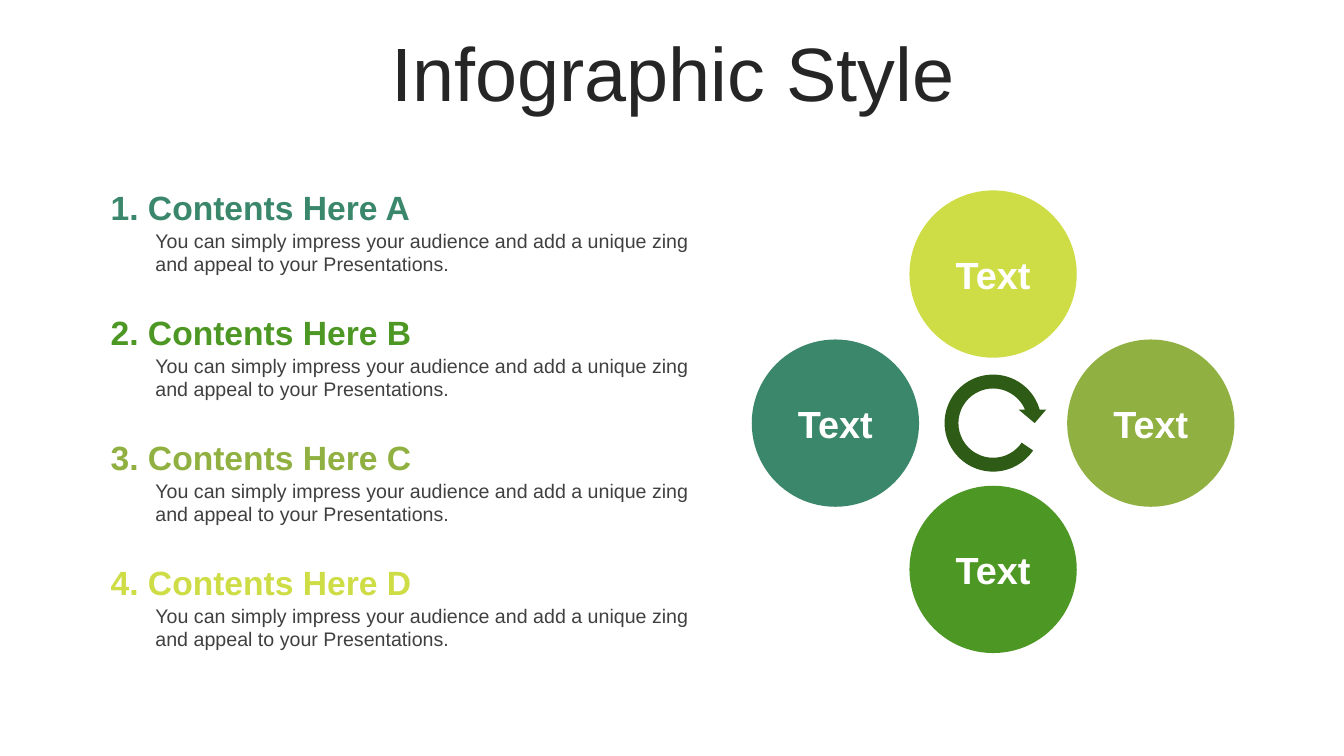
from pptx import Presentation
from pptx.dml.color import RGBColor
from pptx.enum import shapes, text
from pptx.util import Pt

TEAL = RGBColor(0x3A, 0x87, 0x6B)
GREEN = RGBColor(0x4D, 0x97, 0x24)
OLIVE = RGBColor(0x90, 0xB1, 0x41)
LIME = RGBColor(0xCE, 0xDD, 0x46)
FOREST = RGBColor(0x2E, 0x5B, 0x15)
WHITE = RGBColor(0xFF, 0xFF, 0xFF)
TITLE_GRAY = RGBColor(0x26, 0x26, 0x26)
BODY_GRAY = RGBColor(0x40, 0x40, 0x40)

BODY = ("You can simply impress your audience and add a unique zing "
        "and appeal to your Presentations.")
ENTRIES = [
    ("1. Contents Here A", TEAL),
    ("2. Contents Here B", GREEN),
    ("3. Contents Here C", OLIVE),
    ("4. Contents Here D", LIME),
]


def write(sp, words, *, size, color, bold=False, align=text.PP_ALIGN.LEFT,
          anchor=text.MSO_ANCHOR.TOP, spacing=1.0, inset=7.2):
    tf = sp.text_frame
    tf.word_wrap = True
    tf.vertical_anchor = anchor
    tf.margin_left = tf.margin_right = Pt(inset)
    p = tf.paragraphs[0]
    p.alignment = align
    p.line_spacing = spacing
    r = p.add_run()
    r.text = words
    r.font.name = "Arial"
    r.font.size = Pt(size)
    r.font.bold = bold
    r.font.color.rgb = color


def add_text(slide, left, top, width, height, words, **style):
    sp = slide.shapes.add_textbox(Pt(left), Pt(top), Pt(width), Pt(height))
    write(sp, words, **style)


def add_centred(slide, kind, cx, cy, size, color):
    """Add a filled square-boxed shape around a centre point."""
    sp = slide.shapes.add_shape(kind, Pt(cx - size / 2), Pt(cy - size / 2),
                                Pt(size), Pt(size))
    sp.shadow.inherit = False
    sp.fill.solid()
    sp.fill.fore_color.rgb = color
    sp.line.fill.background()
    return sp


def add_title(slide, left, top, width, height):
    add_text(slide, left, top, width, height, "Infographic Style", size=54,
             color=TITLE_GRAY, align=text.PP_ALIGN.CENTER,
             anchor=text.MSO_ANCHOR.MIDDLE, spacing=0.9)


def add_contents(slide, left, top, width, height):
    step = height / len(ENTRIES)
    indent = 33.2
    for i, (heading, color) in enumerate(ENTRIES):
        y = top + i * step
        add_text(slide, left + indent, y + 29.5, width - indent, 41, BODY,
                 size=14, color=BODY_GRAY, inset=5.8)
        add_text(slide, left, y, width, 36, heading, size=24, color=color,
                 bold=True)


def add_cycle(slide, left, top, width, height):
    """Four circles touching the sides of the box, around a turning arrow."""
    size = 119.5
    cx, cy = left + width / 2, top + height / 2 + 1
    circles = [
        (cx, top + size / 2, LIME),
        (cx, top + height - size / 2, GREEN),
        (left + size / 2, cy, TEAL),
        (left + width - size / 2, cy, OLIVE),
    ]
    for x, y, color in circles:
        sp = add_centred(slide, shapes.MSO_SHAPE.OVAL, x, y, size, color)
        write(sp, "Text", size=27, color=WHITE, bold=True,
              align=text.PP_ALIGN.CENTER, anchor=text.MSO_ANCHOR.MIDDLE)
    arrow = add_centred(slide, shapes.MSO_SHAPE.CIRCULAR_ARROW, cx, cy, 79.2,
                        FOREST)
    for i, value in enumerate((0.125, 11.423, 204.577, 20.646, 0.125)):
        arrow.adjustments[i] = value


def main():
    prs = Presentation()
    prs.slide_width, prs.slide_height = Pt(960), Pt(540)
    slide = prs.slides.add_slide(prs.slide_layouts[6])
    add_title(slide, 25.2, 26.6, 911.5, 56.9)
    add_cycle(slide, 537, 136, 344.8, 330.5)
    add_contents(slide, 72, 130.3, 434.5, 357.1)
    prs.save("out.pptx")


if __name__ == "__main__":
    main()
